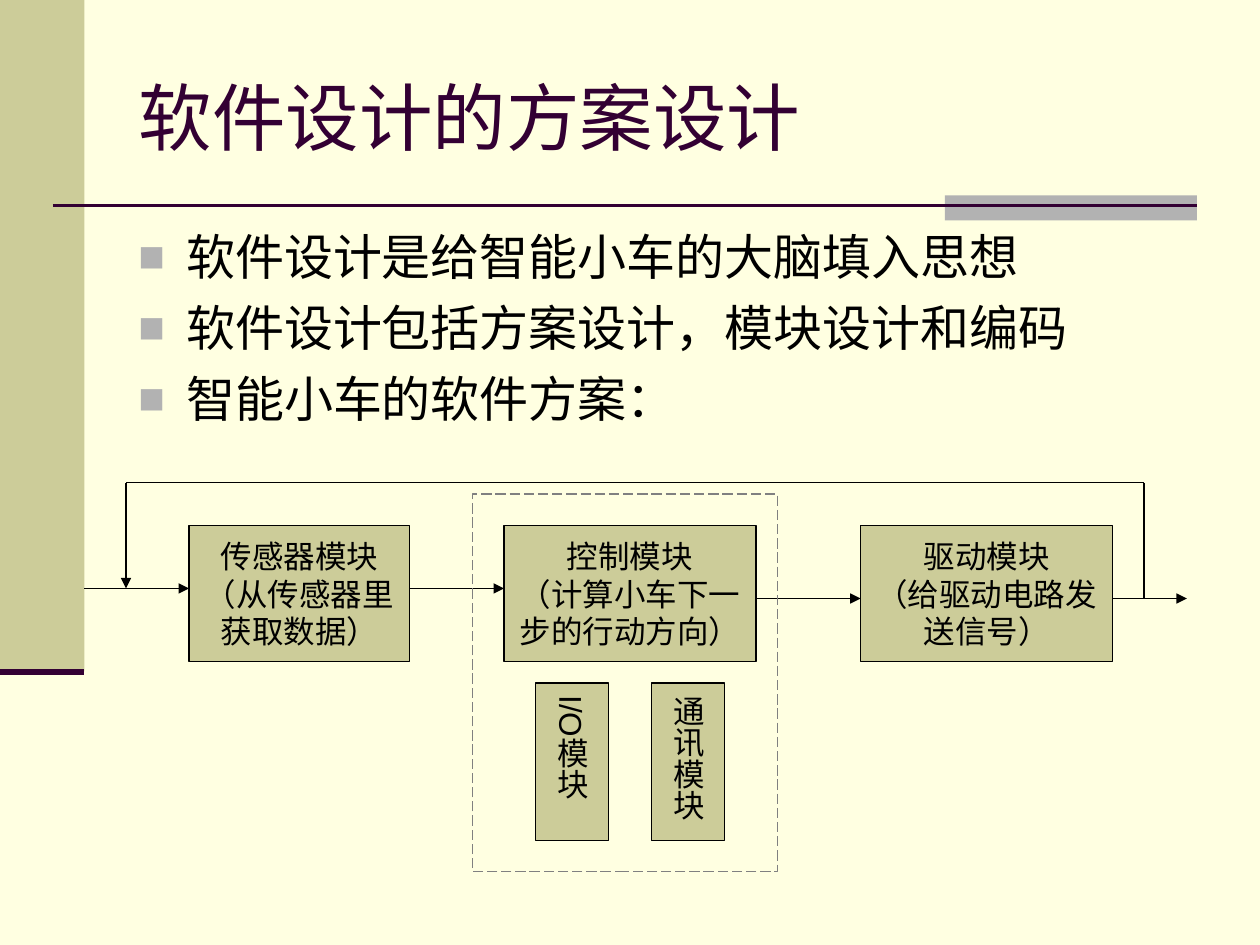
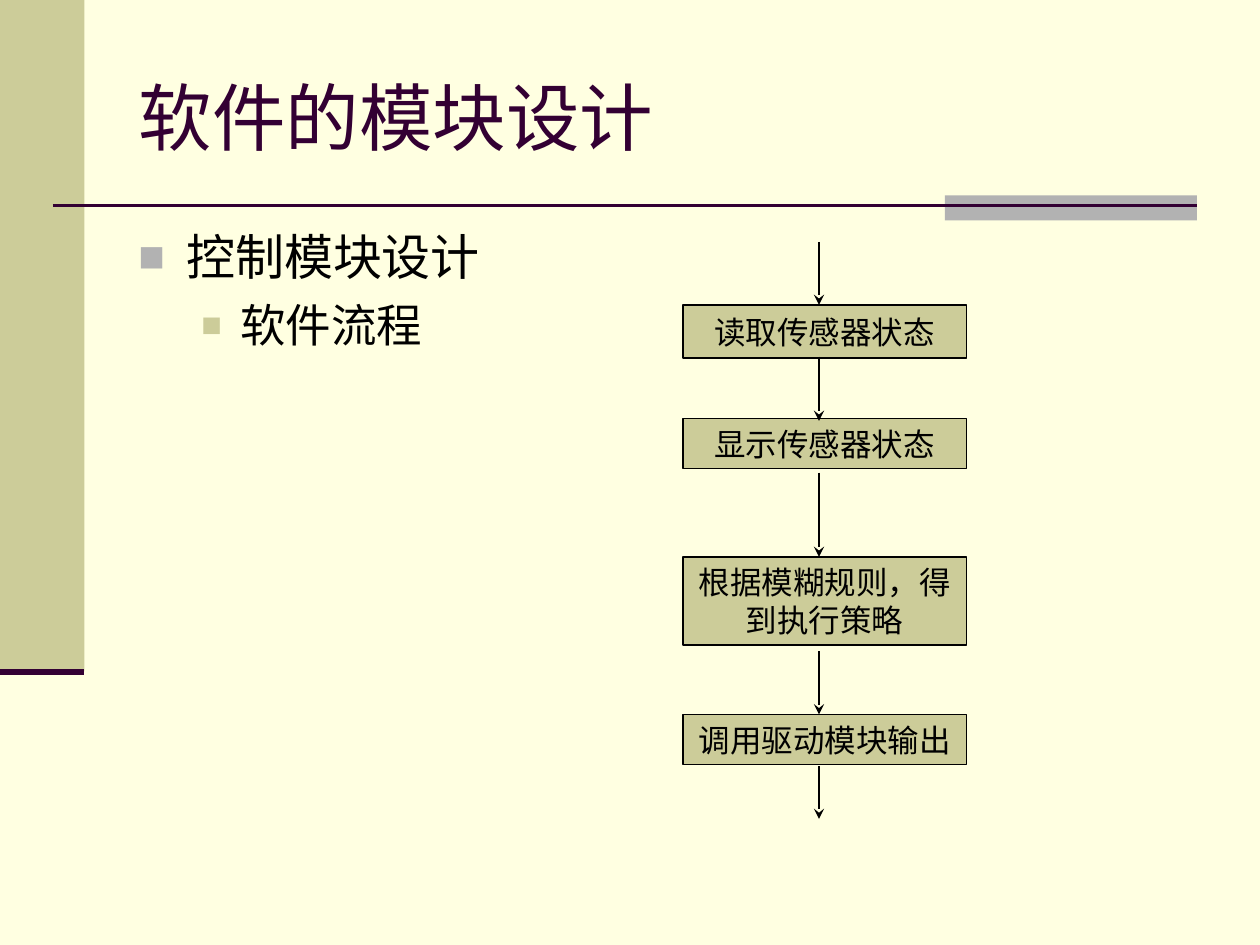
import pptx
import pptx.util
import pptx.dml.color
import pptx.enum.dml
import pptx.enum.shapes
import pptx.enum.text
import pptx.oxml.ns
import lxml.etree
import dataclasses

Inches = pptx.util.Inches
Pt = pptx.util.Pt
qn = pptx.oxml.ns.qn
Kind = pptx.enum.shapes.MSO_SHAPE
Align = pptx.enum.text.PP_ALIGN
Anchor = pptx.enum.text.MSO_ANCHOR


@dataclasses.dataclass(frozen=True)
class Theme:
    paper: str = "FFFFE1"
    khaki: str = "CCCC99"
    gray: str = "B2B2B2"
    dash: str = "808080"
    plum: str = "330033"
    ink: str = "000000"
    serif: str = "Times New Roman"
    sans: str = "Arial"
    title: float = 42
    label: float = 18
    thin: float = 0.75


theme = Theme()

levels = [
    {"size": 28, "before": 7, "left": 0.38, "hang": 0.38, "color": theme.gray, "scale": 90},
    {"size": 26, "before": 6.5, "left": 0.81, "hang": 0.31, "color": theme.khaki, "scale": 75},
]

plan = {
    "title": "软件设计的方案设计",
    "points": [
        (0, "软件设计是给智能小车的大脑填入思想"),
        (0, "软件设计包括方案设计，模块设计和编码"),
        (0, "智能小车的软件方案："),
    ],
    "stages": [
        (1.5, 1.75, ["传感器模块", "（从传感器里获取数据）"]),
        (4, 2, ["控制模块", "（计算小车下一步的行动方向）"]),
        (6.83, 2, ["驱动模块", "（给驱动电路发送信号）"]),
    ],
    "parts": ["I/O模块", "通讯模块"],
}

flow = {
    "title": "软件的模块设计",
    "points": [(0, "控制模块设计"), (1, "软件流程")],
    "steps": [
        (2.42, 0.42, "读取传感器状态"),
        (3.32, 0.4, "显示传感器状态"),
        (4.42, 0.7, "根据模糊规则，得到执行策略"),
        (5.67, 0.4, "调用驱动模块输出"),
    ],
    "arrows": [(1.92, 2.42), (2.83, 3.34), (3.75, 4.42), (5.17, 5.67), (6.08, 6.5)],
}


def rgb(code):
    return pptx.dml.color.RGBColor.from_string(code)


def put(target, **values):
    for name, value in values.items():
        setattr(target, name, value)


def place(shape, *spot):
    sides = ("left", "top", "width", "height")
    put(shape, **{side: Inches(size) for side, size in zip(sides, spot)})


def frame(text, anchor, side=0.1, edge=0.05):
    put(text, word_wrap=True, auto_size=pptx.enum.text.MSO_AUTO_SIZE.NONE,
        vertical_anchor=anchor, margin_left=Inches(side), margin_right=Inches(side),
        margin_top=Inches(edge), margin_bottom=Inches(edge))


def style(para, face, size, color, align):
    para.alignment = align
    put(para.font, name=face, size=Pt(size))
    para.font.color.rgb = rgb(color)


def block(slide, spot, fill=None, line=None, kind=Kind.RECTANGLE):
    shape = slide.shapes.add_shape(kind, *map(Inches, spot))
    shape.shadow.inherit = False
    if fill:
        shape.fill.solid()
        shape.fill.fore_color.rgb = rgb(fill)
    else:
        shape.fill.background()
    if line:
        shape.line.color.rgb = rgb(line)
        shape.line.width = Pt(theme.thin)
    else:
        shape.line.fill.background()
    return shape


def box(slide, spot, lines, kind=Kind.RECTANGLE, upright=False):
    shape = block(slide, spot, theme.khaki, theme.ink, kind)
    text = shape.text_frame
    text.text = "\n".join(lines)
    frame(text, Anchor.MIDDLE, *((0.05, 0.1) if upright else (0.1, 0.05)))
    for para in text.paragraphs:
        style(para, theme.sans, theme.label, theme.ink, Align.CENTER)
    if upright:
        text.word_wrap = False
        next(shape.element.iter(qn("a:bodyPr"))).set("vert", "eaVert")


def wire(slide, start, end, head=None, color=theme.ink, width=theme.thin):
    line = slide.shapes.add_connector(
        pptx.enum.shapes.MSO_CONNECTOR.STRAIGHT, *map(Inches, (*start, *end)))
    line.line.color.rgb = rgb(color)
    line.line.width = Pt(width)
    if head:
        lxml.etree.SubElement(line.get_or_add_ln(), qn("a:tailEnd"), type=head)
    lxml.etree.SubElement(line.element.find(qn("p:spPr")), qn("a:effectLst"))


def bullet(para, level):
    props = para._p.get_or_add_pPr()
    props.set("marL", str(Inches(level["left"])))
    props.set("indent", str(-Inches(level["hang"])))
    tint = lxml.etree.SubElement(props, qn("a:buClr"))
    lxml.etree.SubElement(tint, qn("a:srgbClr"), val=level["color"])
    lxml.etree.SubElement(props, qn("a:buSzPct"), val=str(level["scale"] * 1000))
    lxml.etree.SubElement(props, qn("a:buFont"), typeface=theme.sans)
    lxml.etree.SubElement(props, qn("a:buChar"), char="■")


def base(deck, page):
    slide = deck.slides.add_slide(deck.slide_layouts[5])
    block(slide, (0, 0, 0.67, 5.33), theme.khaki)
    block(slide, (7.5, 1.55, 2, 0.2), theme.gray)
    wire(slide, (0.42, 1.63), (9.5, 1.63), color=theme.plum, width=1.5)
    wire(slide, (0, 5.33), (0.67, 5.33), color=theme.plum, width=3.5)
    title = slide.shapes.title
    place(title, 1, 0.3, 8.5, 1.25)
    title.text_frame.text = page["title"]
    frame(title.text_frame, Anchor.MIDDLE)
    style(title.text_frame.paragraphs[0], theme.serif, theme.title, theme.plum, Align.LEFT)
    body = slide.shapes.add_textbox(*map(Inches, (1, 1.75, 8.5, 4.95))).text_frame
    body.text = "\n".join(text for _, text in page["points"])
    frame(body, Anchor.TOP)
    for para, (depth, _) in zip(body.paragraphs, page["points"]):
        level = levels[depth]
        style(para, theme.sans, level["size"], theme.ink, Align.LEFT)
        put(para, level=depth, space_before=Pt(level["before"]))
        bullet(para, level)
    return slide


def draw_plan(deck):
    slide = base(deck, plan)
    for left, width, lines in plan["stages"]:
        box(slide, (left, 4.17, width, 1.08), lines)
    ends = [0.67] + [left + width for left, width, _ in plan["stages"]]
    starts = [left for left, _, _ in plan["stages"]] + [9.42]
    for begin, end, y in zip(ends, starts, (4.67, 4.67, 4.75, 4.75)):
        wire(slide, (begin, y), (end, y), "triangle")
    loop = [(9.08, 4.75), (9.08, 3.83), (1, 3.83), (1, 4.67)]
    for start, end, head in zip(loop, loop[1:], (None, None, "triangle")):
        wire(slide, start, end, head)
    for index, name in enumerate(plan["parts"]):
        box(slide, (4.25 + 0.92 * index, 5.42, 0.58, 1.25), [name], upright=True)
    group = block(slide, (3.75, 3.92, 2.42, 3), line=theme.dash)
    group.line.dash_style = pptx.enum.dml.MSO_LINE.LONG_DASH


def draw_flow(deck):
    slide = base(deck, flow)
    for top, height, name in flow["steps"]:
        box(slide, (5.42, top, 2.25, height), [name], Kind.FLOWCHART_PROCESS)
    for top, end in flow["arrows"]:
        wire(slide, (6.5, top), (6.5, end), "stealth")


def main():
    deck = pptx.Presentation()
    put(deck, slide_width=Inches(10), slide_height=Inches(7.5))
    paper = deck.slide_master.background.fill
    paper.solid()
    paper.fore_color.rgb = rgb(theme.paper)
    draw_plan(deck)
    draw_flow(deck)
    deck.save("out.pptx")


if __name__ == "__main__":
    main()
